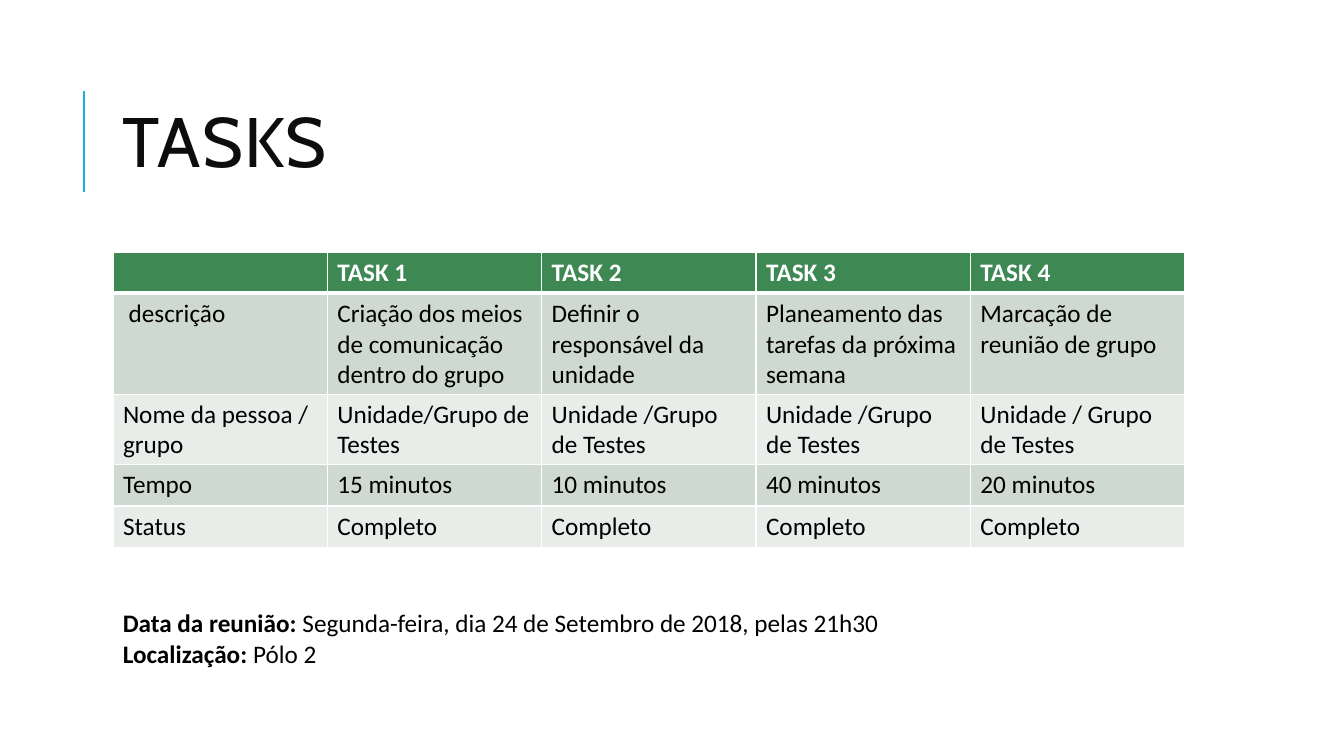
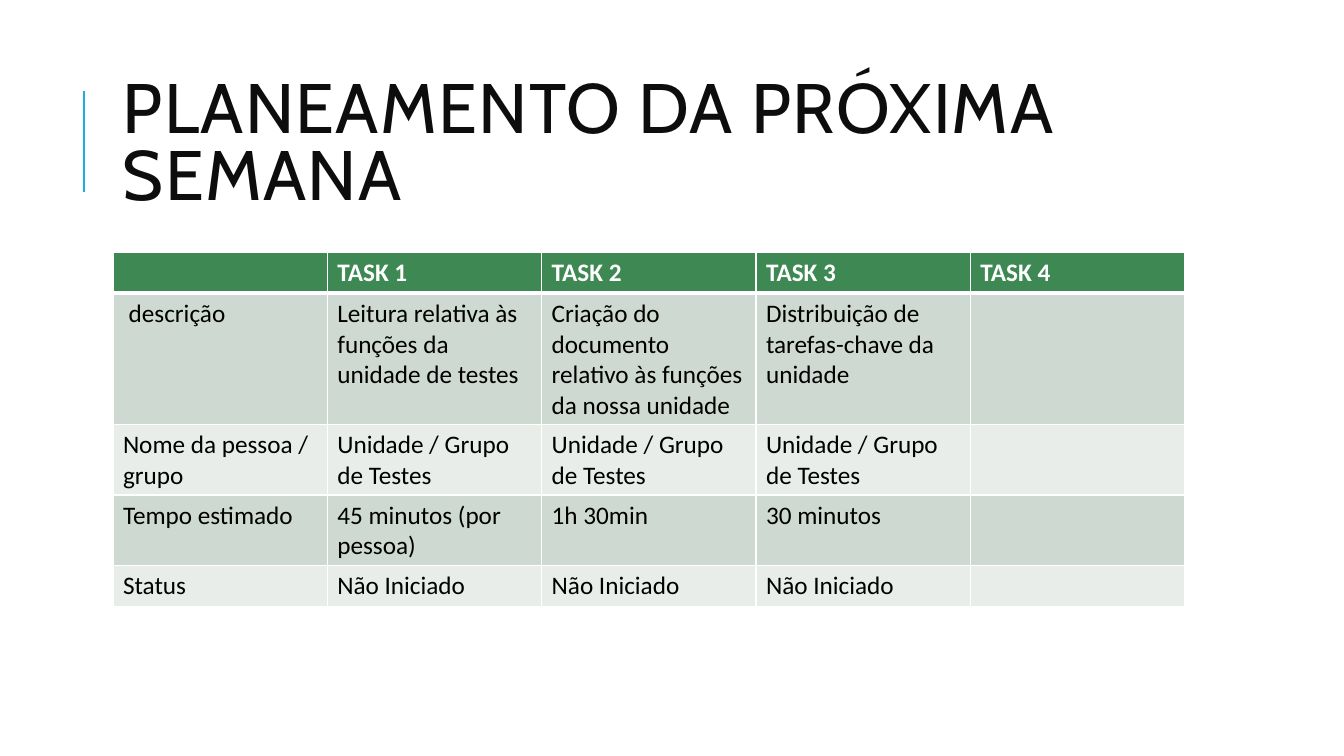
import pptx
import pptx.dml.color
import pptx.enum.shapes
import pptx.enum.text
import pptx.oxml
import pptx.oxml.ns
import pptx.util
from pptx.util import Inches

COLORS = {
    "accent": "1CADE4",
    "title": "0D0D0D",
    "text": "000000",
    "white": "FFFFFF",
    "header": "3E8853",
    "odd_row": "CEDAD1",
    "even_row": "E8EDE9",
}
TITLE_FONT = "Cabin"
BODY_FONT = "Calibri"
LEFT, CONTENT_WIDTH = 1.12, 10.63
ROW_HEIGHT = 0.41
NAMESPACE = pptx.oxml.ns.nsdecls("a")

TASK_HEADER = ["", "TASK 1", "TASK 2", "TASK 3", "TASK 4"]
COMPLETED_TASKS = [
    TASK_HEADER,
    [" descrição", "Criação dos meios de comunicação dentro do grupo",
     "Definir o responsável da unidade",
     "Planeamento das tarefas da próxima semana",
     "Marcação de reunião de grupo"],
    ["Nome da pessoa / grupo", "Unidade/Grupo de Testes",
     "Unidade /Grupo de Testes", "Unidade /Grupo de Testes",
     "Unidade / Grupo de Testes"],
    ["Tempo", "15 minutos", "10 minutos", "40 minutos", "20 minutos"],
    ["Status"] + ["Completo"] * 4,
]
PLANNED_TASKS = [
    TASK_HEADER,
    [" descrição", "Leitura relativa às funções da unidade de testes",
     "Criação do documento relativo às funções da nossa unidade",
     "Distribuição de tarefas-chave da unidade", ""],
    ["Nome da pessoa / grupo"] + ["Unidade / Grupo de Testes"] * 3 + [""],
    ["Tempo estimado", "45 minutos (por pessoa)", "1h 30min", "30 minutos", ""],
    ["Status"] + ["Não Iniciado"] * 3 + [""],
]
MEETING_DETAILS = [
    ("Data da reunião: ", "Segunda-feira, dia 24 de Setembro de 2018, pelas 21h30"),
    ("Localização: ", "Pólo 2"),
]


def rgb(name):
    return pptx.dml.color.RGBColor.from_string(COLORS[name])


def set_font(paragraph, size, color, name=BODY_FONT, bold=None):
    font = paragraph.font
    font.name = name
    font.size = pptx.util.Pt(size)
    font.color.rgb = rgb(color)
    font.bold = bold


def add_text_frame(slide, top, width, height):
    text_box = slide.shapes.add_textbox(
        Inches(LEFT), Inches(top), Inches(width), Inches(height))
    text_box.text_frame.word_wrap = True
    return text_box.text_frame


def add_title(slide, title):
    """Add the accent rule and the title beside it."""
    rule = slide.shapes.add_connector(
        pptx.enum.shapes.MSO_CONNECTOR.STRAIGHT,
        Inches(0.83), Inches(1.9), Inches(0.83), Inches(0.9))
    rule.line.color.rgb = rgb("accent")
    rule.line.width = pptx.util.Pt(1.5)
    rule._element.spPr.append(pptx.oxml.parse_xml(f"<a:effectLst {NAMESPACE}/>"))

    frame = add_text_frame(slide, 0.64, CONTENT_WIDTH, 1.64)
    frame.vertical_anchor = pptx.enum.text.MSO_ANCHOR.MIDDLE
    paragraph = frame.paragraphs[0]
    paragraph.line_spacing = 0.8
    set_font(paragraph, 50, "title", TITLE_FONT)
    run = paragraph.add_run()
    run.text = title
    run._r.get_or_add_rPr().set("spc", "100")


def set_borders(cell, top, bottom):
    """Draw white cell borders; top and bottom are widths in points."""
    properties = cell._tc.get_or_add_tcPr()
    for side, width in (("L", 1), ("R", 1), ("T", top), ("B", bottom)):
        properties.append(pptx.oxml.parse_xml(
            f'<a:ln{side} {NAMESPACE} w="{int(pptx.util.Pt(width))}">'
            f'<a:solidFill><a:srgbClr val="{COLORS["white"]}"/></a:solidFill>'
            f'</a:ln{side}>'))


def add_task_table(slide, rows):
    column_count = len(rows[0])
    table = slide.shapes.add_table(
        len(rows), column_count, Inches(LEFT), Inches(2.5),
        Inches(CONTENT_WIDTH), Inches(ROW_HEIGHT * len(rows))).table
    for column in table.columns:
        column.width = Inches(CONTENT_WIDTH / column_count)
    for row_index, row in enumerate(rows):
        table.rows[row_index].height = Inches(ROW_HEIGHT)
        is_header = row_index == 0
        fill = "header" if is_header else "odd_row" if row_index % 2 else "even_row"
        for column_index, text in enumerate(row):
            cell = table.cell(row_index, column_index)
            set_borders(cell, top=3 if row_index == 1 else 1,
                        bottom=3 if is_header else 1)
            cell.fill.solid()
            cell.fill.fore_color.rgb = rgb(fill)
            cell.text = text
            set_font(cell.text_frame.paragraphs[0], 18,
                     "white" if is_header else "text", bold=is_header)


def add_labelled_lines(slide, lines):
    """Add lines that each start with a bold label."""
    frame = add_text_frame(slide, 5.98, 8.23, 0.71)
    for index, line in enumerate(lines):
        paragraph = frame.add_paragraph() if index else frame.paragraphs[0]
        set_font(paragraph, 18, "text")
        for text, bold in zip(line, (True, False)):
            run = paragraph.add_run()
            run.text = text
            run.font.bold = bold


def add_task_slide(presentation, title, rows):
    slide = presentation.slides.add_slide(presentation.slide_layouts[6])
    add_title(slide, title)
    add_task_table(slide, rows)
    return slide


def main():
    presentation = pptx.Presentation()
    presentation.slide_width = Inches(13.33)
    presentation.slide_height = Inches(7.5)
    tasks_slide = add_task_slide(presentation, "TASKS", COMPLETED_TASKS)
    add_labelled_lines(tasks_slide, MEETING_DETAILS)
    add_task_slide(presentation, "PLANEAMENTO DA PRÓXIMA SEMANA", PLANNED_TASKS)
    presentation.save("out.pptx")


if __name__ == "__main__":
    main()
